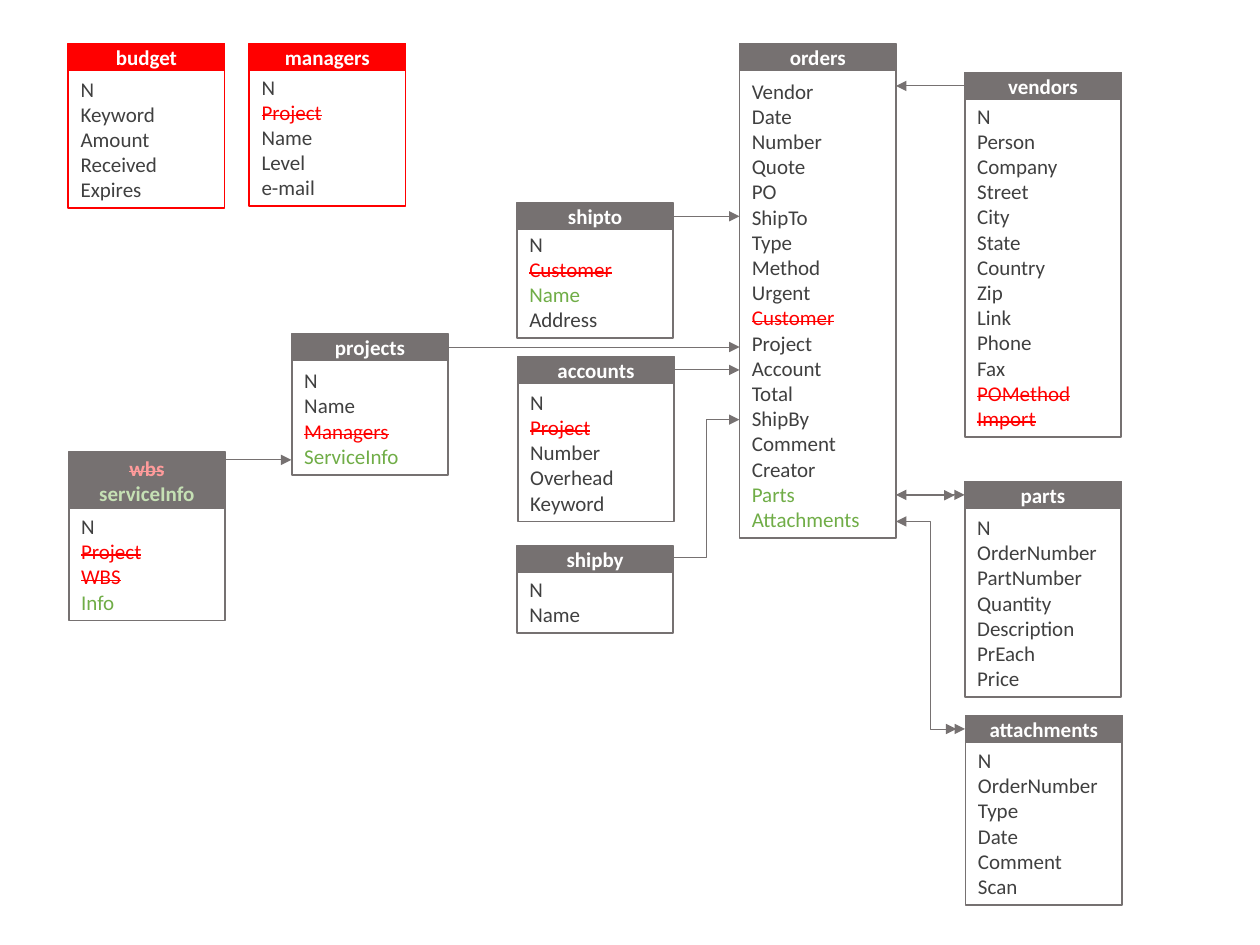
from lxml import etree
from pptx import Presentation
from pptx.dml.color import RGBColor
from pptx.enum import shapes, text
from pptx.oxml.ns import qn
from pptx.util import Pt

THEME = {
    "font": "Calibri", "size": 12, "box_line": 1, "link_line": 0.5,
    "grey": "767171", "red": "FF0000",
    # text colours by mark: "" kept, "-" removed, "+" added
    "body": {"": "404040", "-": "FF0000", "+": "70AD47"},
    "head": {"": "FFFFFF", "-": "FF9B9B", "+": "C5E0B4"},
}
BOX_W, HEAD_H = 89.4, 15.2

# Titles, left, top, height, frame colour, fields
TABLES = [
    ("accounts", 295.9, 203.8, 94.2, "grey", "N -Project Number Overhead Keyword"),
    ("attachments", 551.8, 408.8, 108.3, "grey",
     "N OrderNumber Type Date Comment Scan"),
    ("-wbs +serviceInfo", 39.3, 258.2, 96.4, "grey", "N -Project -WBS +Info"),
    ("budget", 39, 25, 94.1, "red", "N Keyword Amount Received Expires"),
    ("managers", 142.4, 25, 92.9, "red", "N -Project Name Level e-mail"),
    ("orders", 422.6, 25, 282.4, "grey",
     "Vendor Date Number Quote PO ShipTo Type Method Urgent -Customer Project "
     "Account Total ShipBy Comment Creator +Parts +Attachments"),
    ("parts", 551.3, 275.2, 123.2, "grey",
     "N OrderNumber PartNumber Quantity Description PrEach Price"),
    ("projects", 166.8, 190.7, 80.6, "grey", "N Name -Managers +ServiceInfo"),
    ("shipby", 295.4, 311.9, 50, "grey", "N Name"),
    ("shipto", 295.4, 116, 77.3, "grey", "N -Customer +Name Address"),
    ("vendors", 551.3, 41.5, 208.2, "grey",
     "N Person Company Street City State Country Zip Link Phone Fax "
     "-POMethod -Import"),
]
ORDERS_L, ORDERS_R = 422.6, 512

# Level links from a title bar: table, side (1 left, 3 right), end x, arrowheads
TITLE_LINKS = [
    ("vendors", 1, ORDERS_R, "tail"),
    ("shipto", 3, ORDERS_L, "tail"),
    ("projects", 3, ORDERS_L, "tail"),
    ("accounts", 3, ORDERS_L, "tail"),
    ("parts", 1, ORDERS_R, "head tail"),
]
# Other links: kind, from, to, arrowheads
FREE_LINKS = [
    ("ELBOW", (385, 318.3), (ORDERS_L, 239.8), "tail"),
    ("STRAIGHT", (128.4, 262.8), (166.5, 262.8), "tail"),
    ("ELBOW", (551.5, 416.6), (ORDERS_R, 298), "head tail"),
    # second arrowheads for the "many" ends
    ("STRAIGHT", (517, 283), (545.5, 283), "tail"),
    ("STRAIGHT", (532.8, 416.6), (546.5, 416.6), "tail"),
]


def rgb(value):
    return RGBColor.from_string(value)


def write(sp, names, colors, title):
    """One paragraph per name; its leading mark sets colour and strike."""
    tf = sp.text_frame
    tf.word_wrap = True
    tf.vertical_anchor = (text.MSO_ANCHOR.MIDDLE if title
                          else text.MSO_ANCHOR.BOTTOM)
    if title:
        tf.margin_top = tf.margin_bottom = 0
    names = names.split()
    tf.text = "\n".join(name.lstrip("+-") for name in names)
    for name, p in zip(names, tf.paragraphs):
        mark = name[0] if name[0] in "+-" else ""
        p.alignment = text.PP_ALIGN.CENTER if title else text.PP_ALIGN.LEFT
        font = p.runs[0].font
        font.name, font.size, font.bold = THEME["font"], Pt(THEME["size"]), title
        font.color.rgb = rgb(colors[mark])
        if mark == "-":
            p.runs[0]._r.get_or_add_rPr().set("strike", "sngStrike")


def add_box(group, x, y, h, color, filled):
    sp = group.shapes.add_shape(shapes.MSO_SHAPE.RECTANGLE,
                                Pt(x), Pt(y), Pt(BOX_W), Pt(h))
    sp.shadow.inherit = False
    sp.line.color.rgb, sp.line.width = rgb(color), Pt(THEME["box_line"])
    if filled:
        sp.fill.solid()
        sp.fill.fore_color.rgb = rgb(color)
    else:
        sp.fill.background()
    return sp


def add_table_box(s, titles, x, y, h, frame, fields):
    group = s.shapes.add_group_shape()
    color = THEME[frame]
    body = add_box(group, x, y, h, color, False)
    write(body, fields, THEME["body"], False)
    head_h = 32.4 if len(titles.split()) > 1 else HEAD_H
    head = add_box(group, x, y, head_h, color, True)
    write(head, titles, THEME["head"], True)
    return head


def add_link(s, kind, start, end, heads):
    cx = s.shapes.add_connector(shapes.MSO_CONNECTOR[kind],
                                *(Pt(v) for v in (*start, *end)))
    cx.line.color.rgb = rgb(THEME["grey"])
    cx.line.width = Pt(THEME["link_line"])
    ln = cx.line._get_or_add_ln()
    for side in heads.split():
        etree.SubElement(ln, qn(f"a:{side}End"), type="triangle")
    etree.SubElement(cx._element.spPr, qn("a:effectLst"))
    return cx


def main():
    prs = Presentation()
    prs.slide_width, prs.slide_height = Pt(720), Pt(540)
    s = prs.slides.add_slide(prs.slide_layouts[6])

    # Tables
    heads = {table[0]: add_table_box(s, *table) for table in TABLES}

    # Links joined to title bars
    for name, side, end_x, arrows in TITLE_LINKS:
        head = heads[name]
        x = head.left.pt + (BOX_W if side == 3 else 0)
        y = head.top.pt + HEAD_H / 2
        cx = add_link(s, "STRAIGHT", (x, y), (end_x, y), arrows)
        cx.begin_connect(head, side)

    # Remaining links
    for link in FREE_LINKS:
        add_link(s, *link)

    prs.save("out.pptx")


if __name__ == "__main__":
    main()
